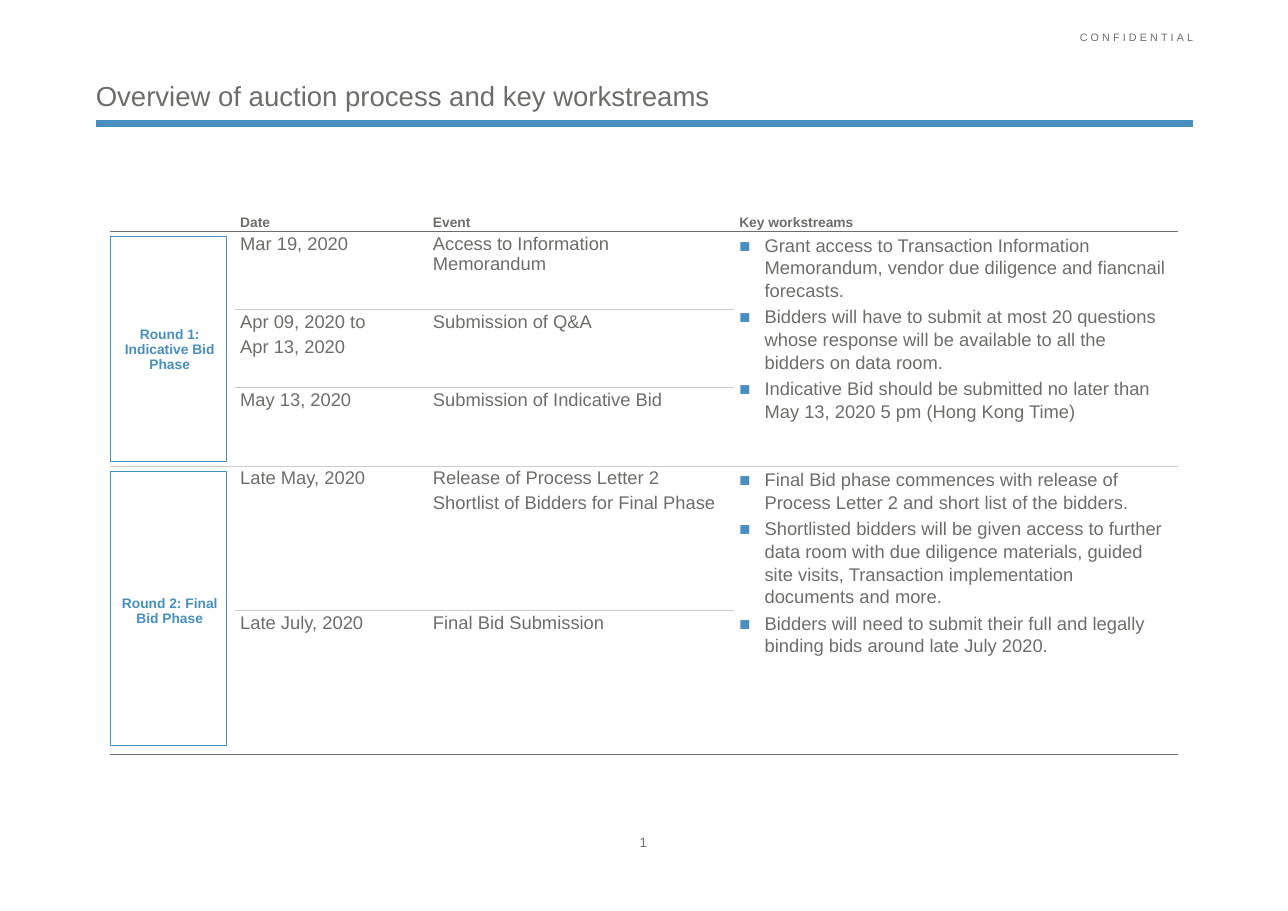
import lxml.etree
import pptx
import pptx.dml.color
import pptx.enum.shapes
import pptx.enum.text
import pptx.oxml.ns
import pptx.util

Inches = pptx.util.Inches
Pt = pptx.util.Pt
ALIGN = pptx.enum.text.PP_ALIGN
ANCHOR = pptx.enum.text.MSO_ANCHOR
qn = pptx.oxml.ns.qn

BLUE = pptx.dml.color.RGBColor(0x47, 0x8F, 0xBF)
DARK = pptx.dml.color.RGBColor(0x6D, 0x6E, 0x6A)
LIGHT = pptx.dml.color.RGBColor(0xCC, 0xCD, 0xCB)
PLAIN = "{2D5ABB26-0587-4C30-8999-92F81FD0307C}"

COLS = [1.13, 1.75, 2.78, 4.03]
ROWS = [0.19, 0.71, 0.71, 0.71, 1.31, 1.31]
HEADS = ["", "Date", "Event", "Key workstreams"]
ROUNDS = [
    {
        "name": "Round 1: Indicative Bid Phase",
        "frame": 2.04,
        "steps": [
            (["Mar 19, 2020"], ["Access to Information Memorandum"]),
            (["Apr 09, 2020 to", "Apr 13, 2020"], ["Submission of Q&A"]),
            (["May 13, 2020"], ["Submission of Indicative Bid"]),
        ],
        "work": [
            "Grant access to Transaction Information Memorandum, vendor due "
            "diligence and fiancnail forecasts.",
            "Bidders will have to submit at most 20 questions whose response "
            "will be available to all the bidders on data room.",
            "Indicative Bid should be submitted no later than May 13, 2020 "
            "5 pm (Hong Kong Time)",
        ],
    },
    {
        "name": "Round 2: Final Bid Phase",
        "frame": 2.49,
        "steps": [
            (["Late May, 2020"],
             ["Release of Process Letter 2",
              "Shortlist of Bidders for Final Phase"]),
            (["Late July, 2020"], ["Final Bid Submission"]),
        ],
        "work": [
            "Final Bid phase commences with release of Process Letter 2 and "
            "short list of the bidders.",
            "Shortlisted bidders will be given access to further data room "
            "with due diligence materials, guided site visits, Transaction "
            "implementation documents and more.",
            "Bidders will need to submit their full and legally binding bids "
            "around late July 2020.",
        ],
    },
]

HEAD = {"size": Pt(9), "bold": True}
BODY = {"size": Pt(12), "bold": False}
AFTER = {"space_after": Pt(3)}
LABEL = {"alignment": ALIGN.CENTER, "space_before": Pt(2.6), **AFTER}
LIST = {"line_spacing": 1.1, "space_before": Pt(2.6)}


def apply(item, values):
    for name, value in values.items():
        setattr(item, name, value)


def write(frame, lines, font, para, color=DARK):
    """Fill a text frame with one paragraph per line."""
    for i, line in enumerate(lines):
        part = frame.add_paragraph() if i else frame.paragraphs[0]
        apply(part, para)
        run = part.add_run()
        run.text = line
        apply(run.font, {"name": "Arial", **font})
        run.font.color.rgb = color


def label(slide, box, text, font, para, **form):
    """Add a text box without insets."""
    frame = slide.shapes.add_textbox(*map(Inches, box)).text_frame
    apply(frame, {"margin_left": 0, "margin_right": 0, "margin_top": 0,
                  "margin_bottom": 0, "word_wrap": True, **form})
    write(frame, [text], font, para)
    return frame


def bullet(part):
    """Give a paragraph a blue square and a hanging indent."""
    props = part._p.get_or_add_pPr()
    props.set("marL", str(Inches(0.23)))
    props.set("indent", str(-Inches(0.23)))
    tint = lxml.etree.SubElement(props, qn("a:buClr"))
    lxml.etree.SubElement(tint, qn("a:srgbClr"), val=str(BLUE))
    lxml.etree.SubElement(props, qn("a:buFont"), typeface="Arial")
    lxml.etree.SubElement(props, qn("a:buChar"), char="■")


def rule(cell, side, color):
    """Draw a thin line on the top (T) or bottom (B) of a cell."""
    props = cell._tc.get_or_add_tcPr()
    line = lxml.etree.SubElement(props, qn("a:ln" + side), w=str(Pt(0.5)))
    fill = lxml.etree.SubElement(line, qn("a:solidFill"))
    lxml.etree.SubElement(fill, qn("a:srgbClr"), val=str(color))


def fill(cell, lines, font, para, color=DARK, anchor=ANCHOR.TOP, foot=0):
    apply(cell, {"margin_left": Inches(0.05), "margin_right": Inches(0.1),
                 "margin_top": Inches(0.02), "margin_bottom": Inches(foot),
                 "vertical_anchor": anchor})
    write(cell.text_frame, lines, font, para, color)


def header(slide, box):
    left, top, width, height = box
    bar = slide.shapes.add_connector(
        pptx.enum.shapes.MSO_CONNECTOR.STRAIGHT, Inches(left),
        Inches(top + height), Inches(left + width), Inches(top + height))
    bar.line.color.rgb = BLUE
    bar.line.width = Pt(4.5)
    lxml.etree.SubElement(bar._element.spPr, qn("a:effectLst"))
    mark = label(slide, (left + width - 7.85, top, 7.85, 0.24),
                 "CONFIDENTIAL", {"size": Pt(7)},
                 {"alignment": ALIGN.RIGHT, "line_spacing": 1.1})
    mark.paragraphs[0].runs[0].font._element.set("spc", "210")
    label(slide, (left, top, width, height - 0.1),
          "Overview of auction process and key workstreams",
          {"size": Pt(18)}, {}, vertical_anchor=ANCHOR.BOTTOM)


def border(grid):
    """Rule every row; dark under the heads and at the foot."""
    last = len(ROWS) - 1
    for r in range(len(ROWS)):
        for c in range(len(COLS)):
            cell = grid.cell(r, c)
            ends = r == last or (r == last - 1 and c in (0, 3))
            if r:
                rule(cell, "T", DARK if r == 1 else LIGHT)
            rule(cell, "B", DARK if r == 0 or ends else LIGHT)
            cell.fill.background()


def schedule(slide, box):
    left, top = box[:2]
    grid = slide.shapes.add_table(
        len(ROWS), len(COLS), *map(Inches, box)).table
    apply(grid, {"first_row": False, "horz_banding": False})
    grid._tbl.tblPr.find(qn("a:tableStyleId")).text = PLAIN
    for col, width in zip(grid.columns, COLS):
        col.width = Inches(width)
    for row, height in zip(grid.rows, ROWS):
        row.height = Inches(height)
    border(grid)

    for c, head in enumerate(HEADS):
        fill(grid.cell(0, c), [head] if head else [], HEAD, AFTER,
             anchor=ANCHOR.BOTTOM, foot=0.01)
    blank = grid.cell(0, 0).text_frame.paragraphs[0]._p
    lxml.etree.SubElement(blank, qn("a:endParaRPr"), sz="900")

    row = 1
    for stage in ROUNDS:
        end = row + len(stage["steps"])
        for c in (0, 3):
            grid.cell(row, c).merge(grid.cell(end - 1, c))
        fill(grid.cell(row, 0), [stage["name"]], HEAD, LABEL, BLUE,
             ANCHOR.MIDDLE)
        work = grid.cell(row, 3)
        fill(work, stage["work"], BODY, LIST)
        for part in work.text_frame.paragraphs:
            bullet(part)
        for r, step in enumerate(stage["steps"], row):
            for c, lines in enumerate(step, 1):
                fill(grid.cell(r, c), lines, BODY, AFTER)
        frame = slide.shapes.add_shape(
            pptx.enum.shapes.MSO_SHAPE.RECTANGLE, Inches(left),
            Inches(top + sum(ROWS[:row]) + 0.05), Inches(1.06),
            Inches(stage["frame"]))
        frame.shadow.inherit = False
        frame.fill.background()
        frame.line.color.rgb = BLUE
        frame.line.width = Pt(0.75)
        row = end


def footer(slide, box):
    label(slide, box, "1", {"size": Pt(8.8)},
          {"alignment": ALIGN.CENTER, "line_spacing": 1.1},
          vertical_anchor=ANCHOR.MIDDLE, word_wrap=False)


def main():
    deck = pptx.Presentation()
    deck.slide_width = Inches(11.69)
    deck.slide_height = Inches(8.27)
    slide = deck.slides.add_slide(deck.slide_layouts[6])
    header(slide, (0.87, 0.27, 9.96, 0.85))
    footer(slide, (5.72, 7.54, 0.24, 0.19))
    schedule(slide, (1, 1.91, sum(COLS), sum(ROWS)))
    deck.save("out.pptx")


if __name__ == "__main__":
    main()
